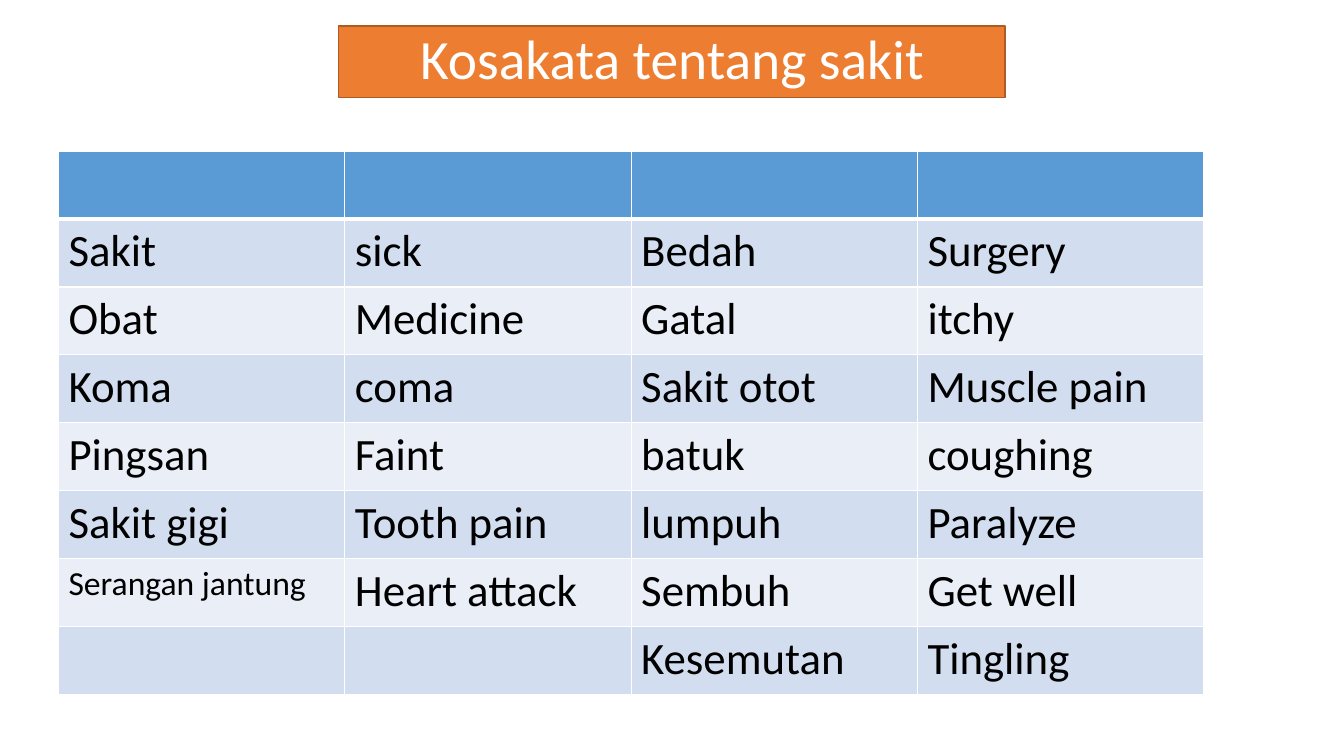
from lxml.etree import SubElement
from pptx import Presentation
from pptx.dml.color import RGBColor
from pptx.enum.shapes import MSO_SHAPE as Shape
from pptx.enum.text import MSO_ANCHOR as Anchor, PP_ALIGN as Align
from pptx.oxml.ns import qn
from pptx.util import Inches, Pt

COLORS = {
    "title": "ED7D31",
    "title_line": "AF5C24",
    "header": "5B9BD5",
    "odd_row": "D2DEEF",
    "even_row": "EAEFF7",
    "white": "FFFFFF",
    "black": "000000",
}

VOCABULARY = [
    ("", "", "", ""),
    ("Sakit", "sick", "Bedah", "Surgery"),
    ("Obat", "Medicine", "Gatal", "itchy"),
    ("Koma", "coma", "Sakit otot", "Muscle pain"),
    ("Pingsan", "Faint", "batuk", "coughing"),
    ("Sakit gigi", "Tooth pain", "lumpuh", "Paralyze"),
    ("Serangan jantung", "Heart attack", "Sembuh", "Get well"),
    ("", "", "Kesemutan", "Tingling"),
]
SMALL_TERMS = {"Serangan jantung"}


def color(name):
    return RGBColor.from_string(COLORS[name])


def write_text(frame, text, size=32, fill="black", align=Align.LEFT, spacing=1.0):
    paragraph = frame.paragraphs[0]
    paragraph.alignment = align
    paragraph.line_spacing = spacing
    run = paragraph.add_run()
    run.text = text
    run.font.name = "Calibri"
    run.font.size = Pt(size)
    run.font.color.rgb = color(fill)


def set_borders(cell, **widths):
    properties = cell._tc.get_or_add_tcPr()
    for side in "LRTB":
        line = SubElement(properties, qn(f"a:ln{side}"), w=str(Pt(widths.get(side, 1))))
        fill = SubElement(line, qn("a:solidFill"))
        SubElement(fill, qn("a:srgbClr"), val=COLORS["white"])


def add_title(slide, left, top, width, height):
    shape = slide.shapes.add_shape(
        Shape.RECTANGLE, Inches(left), Inches(top), Inches(width), Inches(height)
    )
    shape.shadow.inherit = False
    shape.fill.solid()
    shape.fill.fore_color.rgb = color("title")
    shape.line.color.rgb = color("title_line")
    shape.line.width = Pt(1)
    frame = shape.text_frame
    frame.word_wrap = True
    frame.vertical_anchor = Anchor.MIDDLE
    write_text(frame, "Kosakata tentang sakit", size=39.6, fill="white",
               align=Align.CENTER, spacing=0.9)


def add_vocabulary(slide, left, top, width, height):
    table = slide.shapes.add_table(
        len(VOCABULARY), len(VOCABULARY[0]),
        Inches(left), Inches(top), Inches(width), Inches(height)
    ).table
    for row, terms in enumerate(VOCABULARY):
        row_color = "header" if row == 0 else "odd_row" if row % 2 else "even_row"
        for column, term in enumerate(terms):
            cell = table.cell(row, column)
            set_borders(cell, T=3 if row == 1 else 1, B=3 if row == 0 else 1)
            cell.fill.solid()
            cell.fill.fore_color.rgb = color(row_color)
            if term:
                write_text(cell.text_frame, term, size=24 if term in SMALL_TERMS else 32)


def main():
    presentation = Presentation()
    presentation.slide_width = Inches(13.33)
    presentation.slide_height = Inches(7.5)
    slide = presentation.slides.add_slide(presentation.slide_layouts[6])
    add_title(slide, 3.36, 0.26, 6.61, 0.71)
    add_vocabulary(slide, 0.58, 1.5, 11.36, 5.39)
    presentation.save("out.pptx")


if __name__ == "__main__":
    main()
